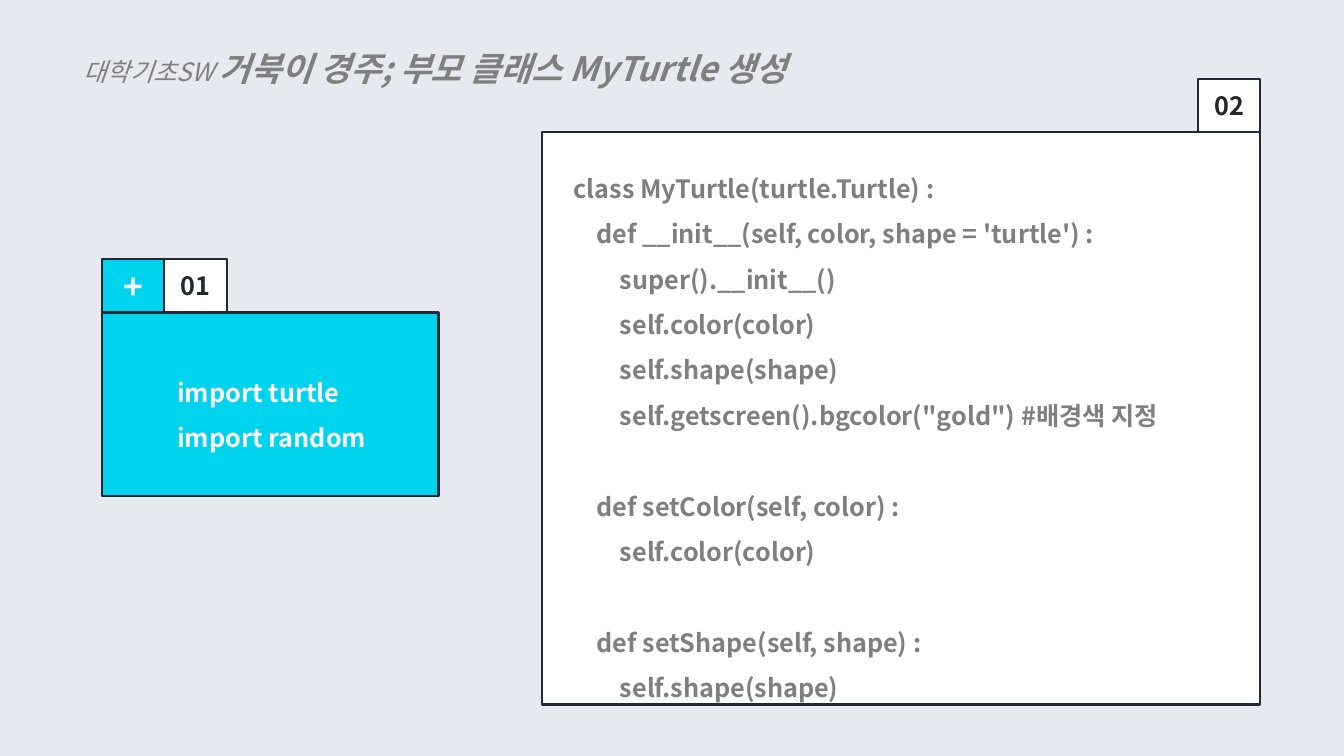
"""Build the slide on the parent class MyTurtle."""
from dataclasses import dataclass

from pptx import Presentation
from pptx.dml.color import RGBColor
from pptx.enum.shapes import MSO_SHAPE
from pptx.enum.text import MSO_ANCHOR, MSO_AUTO_SIZE, PP_ALIGN
from pptx.oxml.ns import qn
from pptx.util import Inches, Pt
from lxml.etree import SubElement

FACE = "Noto Sans CJK KR"
HUES = {
    "back": "E6E9F0", "white": "FFFFFF", "cyan": "00D3ED",
    "navy": "212934", "dark": "262626", "gray": "7F7F7F",
}
TAB_W, TAB_H = 0.62, 0.53
STEP = 0.23


@dataclass
class Box:
    """A framed panel or tab, with an optional label."""
    left: float
    top: float
    width: float
    height: float
    fill: str
    label: str = ""
    ink: str = "navy"
    size: int = 18


@dataclass
class Line:
    """A line of code, its indent depth and the gap above it."""
    text: str
    depth: int = 0
    gap: float = 0


def hue(name: str) -> RGBColor:
    """Look up a colour."""
    return RGBColor.from_string(HUES[name])


def style(para, ink: str, size: int = 18, bold: bool = True) -> None:
    """Set the font of a paragraph for Latin and Korean text."""
    font = para.font
    font.name, font.size, font.bold = FACE, Pt(size), bold
    font.color.rgb = hue(ink)
    for props in para._p.iter(qn("a:defRPr")):
        SubElement(props, qn("a:ea"), typeface=FACE)


def draw_box(slide, box: Box) -> None:
    """Draw a panel or tab."""
    shape = slide.shapes.add_shape(
        MSO_SHAPE.RECTANGLE, Inches(box.left), Inches(box.top),
        Inches(box.width), Inches(box.height))
    shape.shadow.inherit = False
    shape.fill.solid()
    shape.fill.fore_color.rgb = hue(box.fill)
    shape.line.color.rgb = hue("navy")
    shape.line.width = Pt(1.5)
    if box.label:
        frame = shape.text_frame
        frame.vertical_anchor = MSO_ANCHOR.MIDDLE
        para = frame.paragraphs[0]
        para.text = box.label
        para.alignment = PP_ALIGN.CENTER
        style(para, box.ink, box.size)


def draw_code(slide, left: float, top: float, width: float, height: float,
              ink: str, lines: list[Line]) -> None:
    """Write lines of code in a text box."""
    area = slide.shapes.add_textbox(
        Inches(left), Inches(top), Inches(width), Inches(height))
    frame = area.text_frame
    frame.word_wrap = True
    for row, line in enumerate(lines):
        para = frame.add_paragraph() if row else frame.paragraphs[0]
        para.text = line.text
        para.line_spacing = 1.5
        para.space_before = Pt(line.gap)
        props = para._p.get_or_add_pPr()
        props.set("marL", str(Inches(STEP * line.depth)))
        props.set("indent", "0")
        style(para, ink)


def draw_title(slide) -> None:
    """Place and format the title."""
    title = slide.shapes.title
    title.left, title.top = Inches(0.73), Inches(0.23)
    title.width, title.height = Inches(8.37), Inches(0.63)
    frame = title.text_frame
    frame.word_wrap = True
    frame.auto_size = MSO_AUTO_SIZE.NONE
    frame.vertical_anchor = MSO_ANCHOR.TOP
    para = frame.paragraphs[0]
    para.alignment = PP_ALIGN.LEFT
    para.line_spacing = 1.5
    style(para, "gray", bold=False)
    para.font.italic = True
    para.add_run().text = "대학기초SW "
    topic = para.add_run()
    topic.text = "거북이 경주; 부모 클래스 MyTurtle 생성"
    topic.font.size, topic.font.bold = Pt(24), True


BOXES = [
    Box(5.38, 1.31, 7.12, 5.68, "white"),
    Box(1.01 + TAB_W, 2.57, TAB_W, TAB_H, "white", "01"),
    Box(1.01, 3.1, 3.34, 1.82, "cyan"),
    Box(11.88, 0.78, TAB_W, TAB_H, "white", "02", "dark"),
    Box(1.01, 2.57, TAB_W, TAB_H, "cyan", "+", "white", 24),
]
CLASS = [
    Line("class MyTurtle(turtle.Turtle) :"),
    Line("def __init__(self, color, shape = 'turtle') :", 1),
    Line("super().__init__()", 2),
    Line("self.color(color)", 2),
    Line("self.shape(shape)", 2),
    Line('self.getscreen().bgcolor("gold") #배경색 지정', 2),
    Line("def setColor(self, color) :", 1, 32.4),
    Line("self.color(color)", 2),
    Line("def setShape(self, shape) :", 1, 32.4),
    Line("self.shape(shape)", 2),
]
LOADS = [Line("import turtle"), Line("import random")]

deck = Presentation()
deck.slide_width, deck.slide_height = Inches(13.33), Inches(7.5)
slide = deck.slides.add_slide(deck.slide_layouts[5])
slide.background.fill.solid()
slide.background.fill.fore_color.rgb = hue("back")
draw_title(slide)
for box in BOXES:
    draw_box(slide, box)
draw_code(slide, 5.59, 1.52, 6.72, 5.35, "gray", CLASS)
draw_code(slide, 1.66, 3.54, 2.4, 0.98, "white", LOADS)
deck.save("out.pptx")
